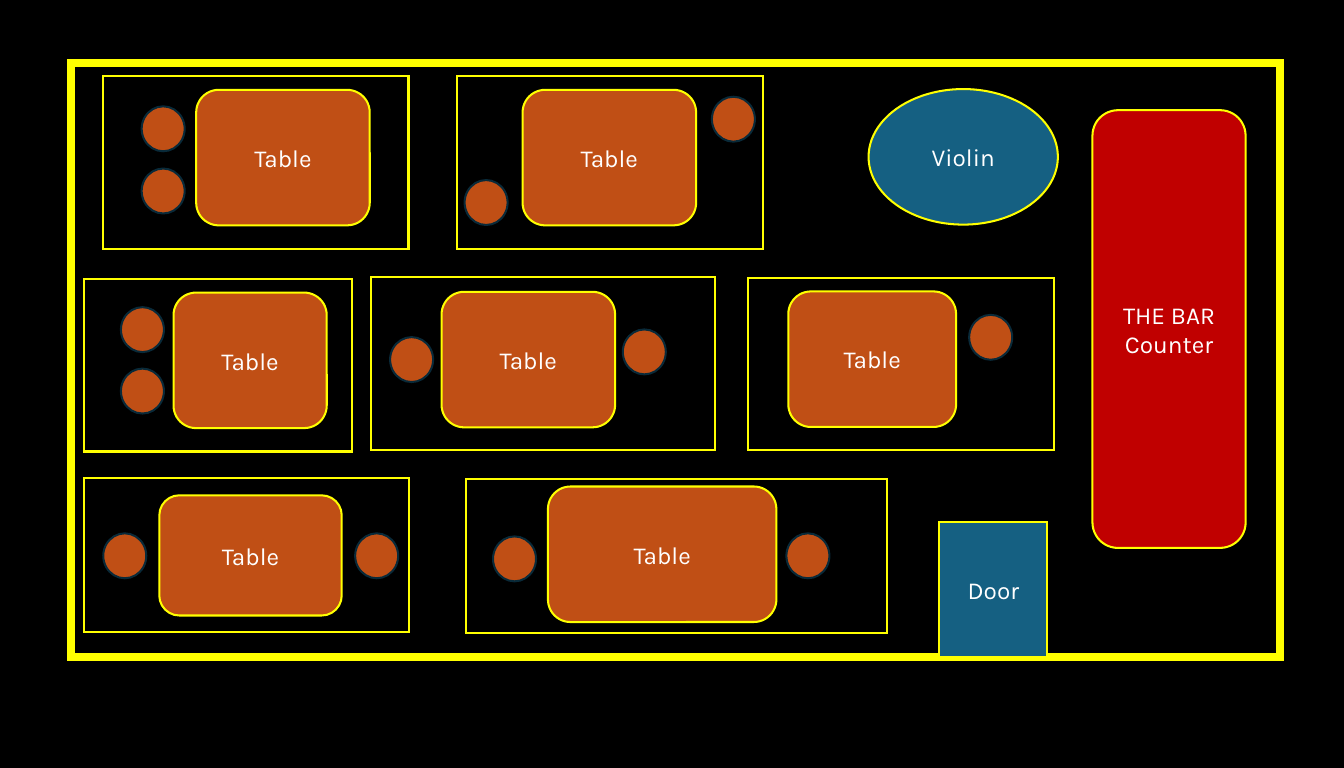
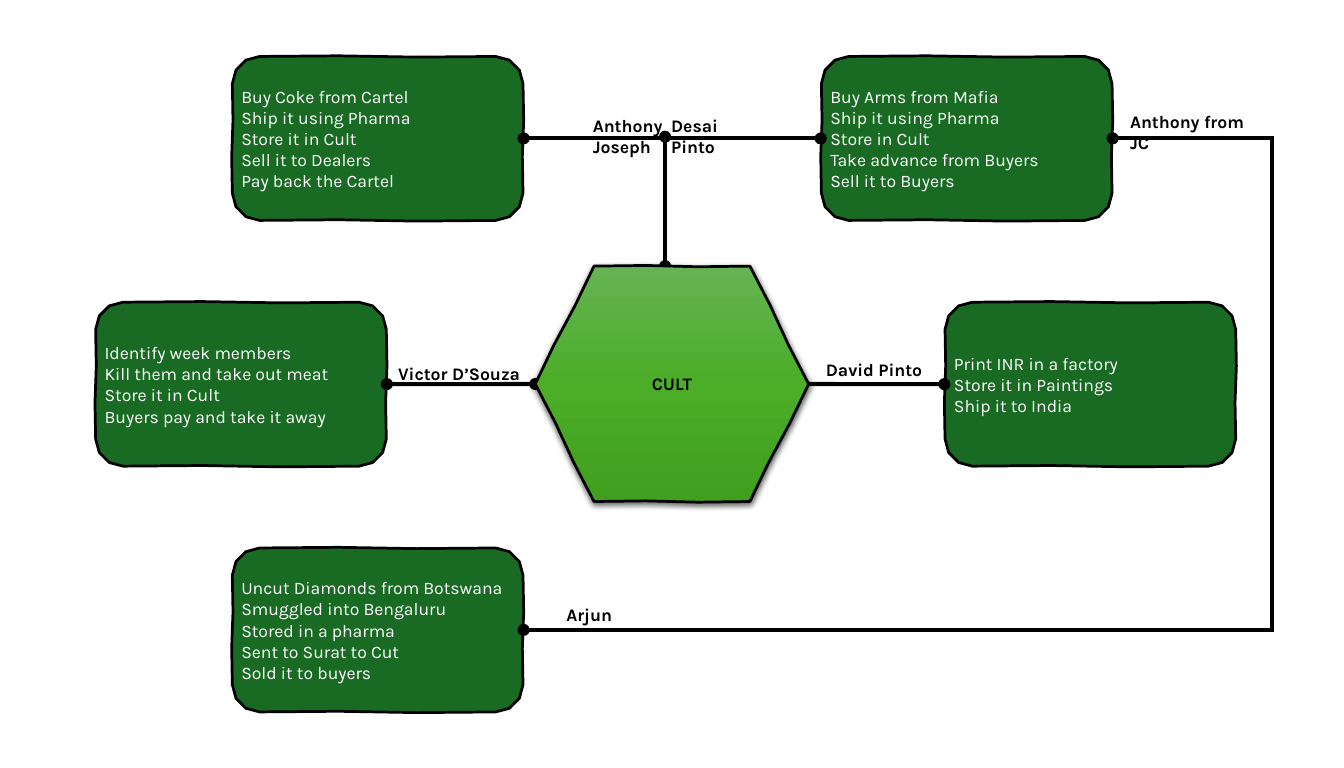
import math
import copy
import lxml.etree
import pptx
import pptx.util
import pptx.dml.color
import pptx.enum.shapes
import pptx.enum.text
import pptx.oxml.ns

Cm = pptx.util.Cm
Pt = pptx.util.Pt
qn = pptx.oxml.ns.qn
RGB = pptx.dml.color.RGBColor.from_string
SHAPE = pptx.enum.shapes.MSO_SHAPE
CONNECTOR = pptx.enum.shapes.MSO_CONNECTOR
ALIGN = pptx.enum.text.PP_ALIGN
ANCHOR = pptx.enum.text.MSO_ANCHOR

FONT = "Karla"
COLORS = {
    "black": "000000",
    "white": "FFFFFF",
    "yellow": "FFFF00",
    "red": "C00000",
    "blue": "156082",
    "orange": "C04F15",
    "navy": "092A39",
    "green": "196B24",
    "hex_top": "66B354",
    "hex_middle": "4BAD28",
    "hex_bottom": "409F1E",
}


def write(shape, text, size, color, bold=False, align=ALIGN.LEFT, anchor=ANCHOR.MIDDLE):
    frame = shape.text_frame
    frame.word_wrap = True
    frame.vertical_anchor = anchor
    for number, block in enumerate(text.split("\n")):
        para = frame.add_paragraph() if number else frame.paragraphs[0]
        para.alignment = align
        for index, line in enumerate(block.split("\v")):
            if index:
                para.add_line_break()
            span = para.add_run()
            span.text = line
            span.font.name = FONT
            span.font.size = Pt(size)
            span.font.bold = bold
            span.font.color.rgb = RGB(COLORS[color])


def sketch(page, corners):
    points = []
    for (x1, y1), (x2, y2) in zip(corners, corners[1:] + corners[:1]):
        length = math.hypot(x2 - x1, y2 - y1)
        steps = 3 if length > 1 else 1
        for step in range(steps):
            t = step / steps
            sway = 0.02 * math.sin(2 * math.pi * t)
            x = x1 + (x2 - x1) * t + (y2 - y1) / length * sway
            y = y1 + (y2 - y1) * t - (x2 - x1) / length * sway
            points.append((Cm(x), Cm(y)))
    builder = page.shapes.build_freeform(*points[0], scale=1.0)
    builder.add_line_segments(points[1:], close=True)
    shape = builder.convert_to_shape()
    shape.shadow.inherit = False
    shape.line.color.rgb = RGB(COLORS["black"])
    shape.line.width = Pt(2)
    return shape


deck = pptx.Presentation()
deck.slide_width = Cm(35)
deck.slide_height = Cm(20)
pages = []
for color in ("black", "white"):
    page = deck.slides.add_slide(deck.slide_layouts[6])
    page.background.fill.solid()
    page.background.fill.fore_color.rgb = RGB(COLORS[color])
    pages.append(page)
floor_page, cult_page = pages

room = (1.86, 1.65, 31.47, 15.47)
bar = (28.45, 2.87, 3.99, 11.4)
violin = (22.62, 2.32, 4.93, 3.53)
door = (24.46, 13.59, 2.82, 3.53)
seat_size = (1.12, 1.17)
booths = [
    ((2.69, 1.98, 7.95, 4.5), (5.11, 2.34, 4.52, 3.53), [(3.69, 2.77), (3.69, 4.39)]),
    ((11.91, 1.98, 7.95, 4.5), (13.61, 2.34, 4.52, 3.53), [(12.1, 4.69), (18.54, 2.52)]),
    ((2.18, 7.26, 6.99, 4.5), (4.52, 7.62, 3.99, 3.53), [(3.15, 8), (3.15, 9.6)]),
    ((9.65, 7.21, 8.96, 4.5), (11.5, 7.6, 4.52, 3.53), [(10.16, 8.78), (16.22, 8.58)]),
    ((19.49, 7.24, 7.95, 4.48), (20.53, 7.59, 4.37, 3.53), [(25.24, 8.2)]),
    ((2.18, 12.45, 8.47, 4.01), (4.15, 12.9, 4.75, 3.13), [(2.69, 13.89), (9.25, 13.89)]),
    ((12.13, 12.47, 10.97, 4.01), (14.27, 12.67, 5.95, 3.53), [(12.84, 13.97), (20.48, 13.89)]),
]

furniture = [
    (SHAPE.RECTANGLE, room, None, "yellow", 6, ""),
    (SHAPE.ROUNDED_RECTANGLE, bar, "red", "yellow", 1.5, "THE BAR\vCounter"),
    (SHAPE.OVAL, violin, "blue", "yellow", 1.5, "Violin"),
    (SHAPE.RECTANGLE, door, "blue", "yellow", 1.5, "Door"),
]
for booth, table, seats in booths:
    furniture.append((SHAPE.ROUNDED_RECTANGLE, table, "orange", "yellow", 1.5, "Table"))
    for seat in seats:
        furniture.append((SHAPE.OVAL, seat + seat_size, "orange", "navy", 1.5, ""))
    furniture.append((SHAPE.RECTANGLE, booth, None, "yellow", 1.5, ""))

for kind, place, fill, line, width, text in furniture:
    item = floor_page.shapes.add_shape(kind, *[Cm(value) for value in place])
    item.shadow.inherit = False
    if fill:
        item.fill.solid()
        item.fill.fore_color.rgb = RGB(COLORS[fill])
    else:
        item.fill.background()
    item.line.color.rgb = RGB(COLORS[line])
    item.line.width = Pt(width)
    lxml.etree.SubElement(item.element.spPr.find(qn("a:ln")), qn("a:miter"), lim="800000")
    if text:
        write(item, text, 18, "white", align=ALIGN.CENTER)

BOX_WIDTH, BOX_HEIGHT, RADIUS = 7.57, 4.27, 0.71
schemes = {
    "coke": (6.05, 1.47, "Buy Coke from Cartel\nShip it using Pharma\vStore it in Cult\v"
             "Sell it to Dealers\vPay back the Cartel"),
    "diamonds": (6.05, 14.27, "Uncut Diamonds from Botswana Smuggled into Bengaluru\v"
                 "Stored in a pharma\vSent to Surat to Cut\vSold it to buyers"),
    "arms": (21.39, 1.47, "Buy Arms from Mafia\vShip it using Pharma\vStore in Cult\v"
             "Take advance from Buyers\vSell it to Buyers"),
    "meat": (2.49, 7.87, "Identify week members\vKill them and take out meat\v"
             "Store it in Cult\vBuyers pay and take it away"),
    "notes": (24.61, 7.87, "Print INR in a factory\vStore it in Paintings\vShip it to India"),
}
boxes = {}
for name, (left, top, text) in schemes.items():
    right, bottom = left + BOX_WIDTH, top + BOX_HEIGHT
    centers = [
        (left + RADIUS, top + RADIUS, 180),
        (right - RADIUS, top + RADIUS, 270),
        (right - RADIUS, bottom - RADIUS, 0),
        (left + RADIUS, bottom - RADIUS, 90),
    ]
    outline = []
    for x, y, start in centers:
        for turn in range(0, 91, 30):
            angle = math.radians(start + turn)
            outline.append((x + RADIUS * math.cos(angle), y + RADIUS * math.sin(angle)))
    box = sketch(cult_page, outline)
    box.fill.solid()
    box.fill.fore_color.rgb = RGB(COLORS["green"])
    write(box, text, 13, "white")
    boxes[name] = box

links = [
    (CONNECTOR.STRAIGHT, (13.62, 3.61), (21.39, 3.61), ("coke", 3), ("arms", 1)),
    (CONNECTOR.STRAIGHT, (17.32, 3.56), (17.32, 6.93), None, None),
    (CONNECTOR.STRAIGHT, (10.06, 10), (13.94, 10), ("meat", 3), None),
    (CONNECTOR.STRAIGHT, (20.83, 10), (24.61, 10), None, ("notes", 1)),
    (CONNECTOR.ELBOW, (13.62, 16.41), (28.96, 3.61), ("diamonds", 3), ("arms", 3)),
]
for kind, start, end, source, target in links:
    link = cult_page.shapes.add_connector(kind, *[Cm(value) for value in start + end])
    if source:
        link.begin_connect(boxes[source[0]], source[1])
    if target:
        link.end_connect(boxes[target[0]], target[1])
    link.line.color.rgb = RGB(COLORS["black"])
    link.line.width = Pt(3)
    properties = link.element.spPr
    stroke = properties.find(qn("a:ln"))
    lxml.etree.SubElement(stroke, qn("a:miter"), lim="800000")
    for tip in ("a:headEnd", "a:tailEnd"):
        lxml.etree.SubElement(stroke, qn(tip), type="oval")
    lxml.etree.SubElement(properties, qn("a:effectLst"))
    if kind == CONNECTOR.ELBOW:
        bends = properties.find(qn("a:prstGeom")).find(qn("a:avLst"))
        lxml.etree.SubElement(bends, qn("a:gd"), name="adj1", fmla="val 127100")

cult = sketch(cult_page, [
    (13.94, 10), (15.47, 6.93), (19.53, 6.93),
    (21.06, 10), (19.53, 13.06), (15.47, 13.06),
])
cult.fill.gradient()
cult.fill.gradient_angle = 270
first, last = cult.fill.gradient_stops
first.position, last.position = 0, 1
first.color.rgb = RGB(COLORS["hex_top"])
last.color.rgb = RGB(COLORS["hex_bottom"])
stops = cult.element.spPr.find(qn("a:gradFill")).find(qn("a:gsLst"))
middle = copy.deepcopy(stops[0])
middle.set("pos", "50000")
middle.find(qn("a:srgbClr")).set("val", COLORS["hex_middle"])
stops.insert(1, middle)
effects = cult.element.spPr.find(qn("a:effectLst"))
shade = lxml.etree.SubElement(
    effects, qn("a:outerShdw"), blurRad=str(Pt(4.5)), dist=str(Pt(1.5)), dir="5400000", rotWithShape="0"
)
tint = lxml.etree.SubElement(shade, qn("a:srgbClr"), val=COLORS["black"])
lxml.etree.SubElement(tint, qn("a:alpha"), val="63000")
write(cult, "CULT", 13, "black", bold=True, align=ALIGN.CENTER)

labels = {
    "Anthony\tDesai\vJoseph\tPinto": (13.79, 2.87, 6.5, 1.37, ALIGN.LEFT),
    "Arjun": (14.5, 15.6, 2.13, 0.81, ALIGN.LEFT),
    "David Pinto": (21.26, 9.22, 3.15, 0.81, ALIGN.LEFT),
    "Victor D’Souza": (9.25, 9.32, 5.41, 0.81, ALIGN.CENTER),
    "Anthony from JC": (29.18, 2.77, 4.01, 0.81, ALIGN.LEFT),
}
for text, (left, top, width, height, align) in labels.items():
    label = cult_page.shapes.add_textbox(Cm(left), Cm(top), Cm(width), Cm(height))
    write(label, text, 13, "black", bold=True, align=align, anchor=ANCHOR.TOP)
    if "\t" in text:
        label.text_frame.margin_left = Cm(1.65)
        settings = label.text_frame.paragraphs[0]._p.get_or_add_pPr()
        tabs = lxml.etree.SubElement(settings, qn("a:tabLst"))
        lxml.etree.SubElement(tabs, qn("a:tab"), pos=str(Cm(2.04)), algn="l")

deck.save("out.pptx")
